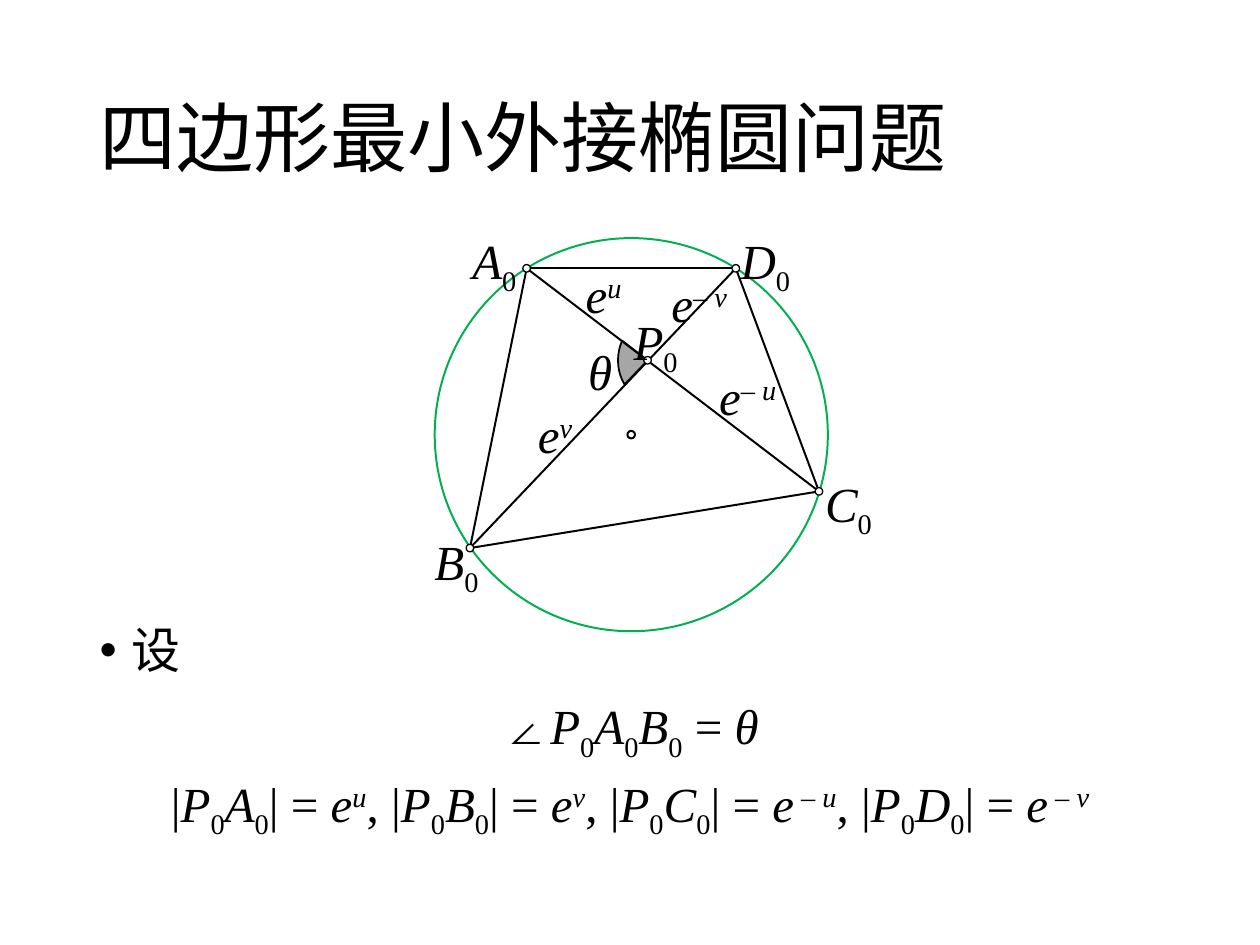
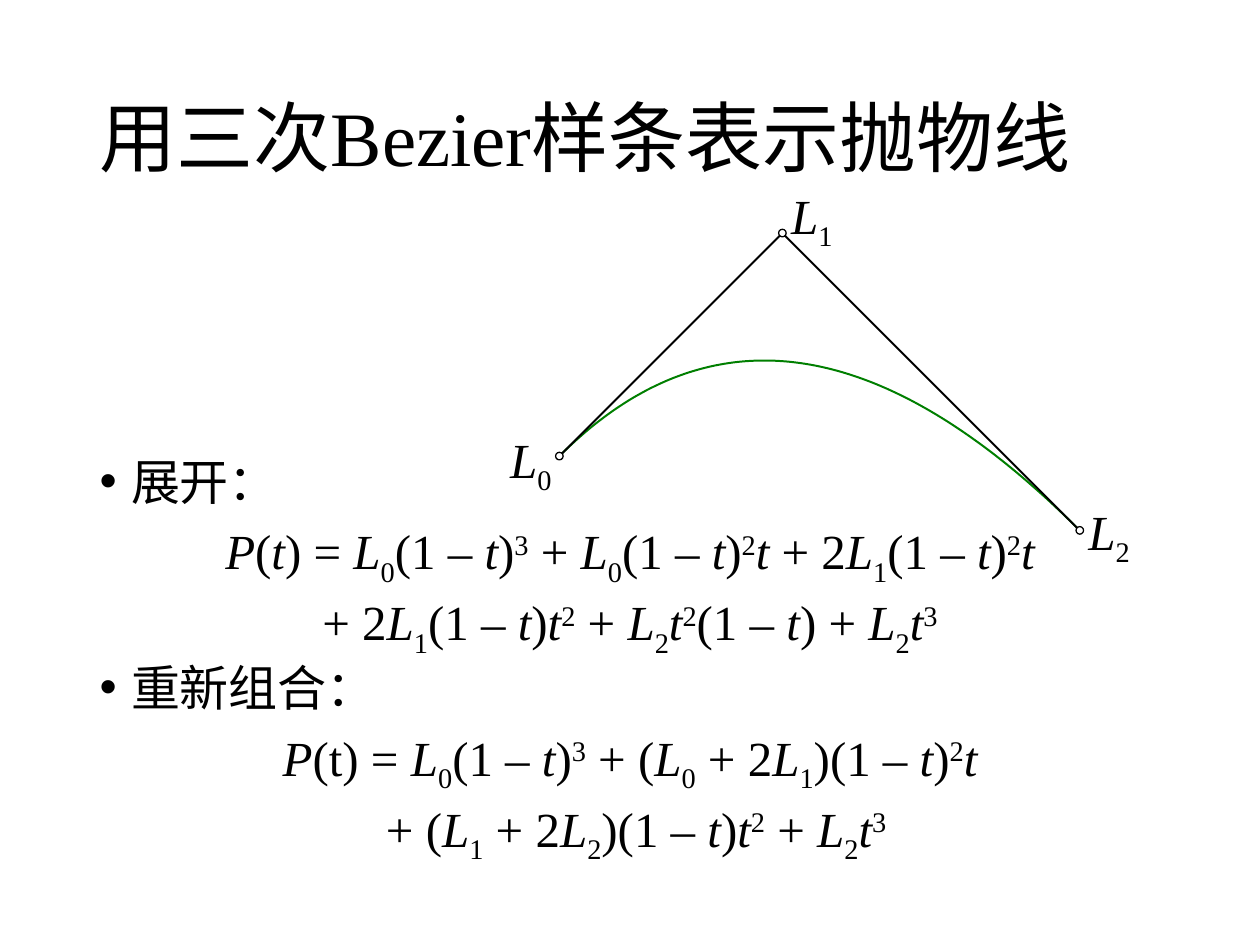
"""Two geometry slides: smallest enclosing ellipse and a parabola as a Bezier spline."""
from itertools import groupby, pairwise

from lxml import etree
from pptx import Presentation
from pptx.dml.color import RGBColor
from pptx.enum.shapes import MSO_CONNECTOR as CONN, MSO_SHAPE as SHAPE
from pptx.enum.text import MSO_ANCHOR as ANCHOR, MSO_AUTO_SIZE as AUTO, PP_ALIGN as ALIGN
from pptx.oxml.ns import qn
from pptx.util import Inches, Pt

COLORS = {"ink": "000000", "white": "FFFFFF", "grey": "A6A6A6",
          "circle": "00B050", "curve": "007F00"}
LATIN, CJK = "Times New Roman", "Noto Sans CJK SC"
SHIFTS = {"_": -25000, "^": 30000}
LEFT, WIDTH = 0.69, 8.62
TITLE_BOX = (LEFT, 0.4, WIDTH, 1.45)
LABEL_HEIGHT, DOT, RADIUS = 0.57, 0.06, 1.56
THIN, THICK = 0.75, 1.13
STEPS = 100

QUAD = {
    "title": "四边形最小外接椭圆问题",
    "top": 4.92, "height": 1.84, "spacing": 0.9,
    "body": [("bullet", "设"),
             ("formula", "∠P_0A_0B_0 = θ"),
             ("formula", "|P_0A_0| = e^u, |P_0B_0| = e^v, "
                         "|P_0C_0| = e^{ – u}, |P_0D_0| = e^{ – v}")],
    "points": {"A": (4.18, 2.13), "B": (3.73, 4.35), "C": (6.5, 3.9),
               "D": (5.84, 2.13), "P": (5.14, 2.86)},
    "center": (5.01, 3.45),
    "edges": ["AB", "BC", "CD", "DA", "AC", "DB"],
    "labels": [("θ", 4.57, 2.66, 0.39), ("e^u", 4.55, 2.05, 0.51),
               ("e^{– u}", 5.61, 2.86, 0.7), ("e^{– v}", 5.23, 2.12, 0.7),
               ("e^v", 4.17, 3.16, 0.49), ("A_0", 3.65, 1.78, 0.57),
               ("B_0", 3.35, 4.17, 0.57), ("C_0", 6.45, 3.71, 0.59),
               ("D_0", 5.78, 1.78, 0.62), ("P_0", 4.93, 2.42, 0.57)],
}
SPLINE = {
    "title": "用三次Bezier样条表示抛物线",
    "top": 3.62, "height": 3.14, "spacing": 0.8,
    "body": [("bullet", "展开："),
             ("formula", "P(t) = L_0(1 – t)^3 + L_0(1 – t)^2t + 2L_1(1 – t)^2t"),
             ("formula", "+ 2L_1(1 – t)t^2 + L_2t^2(1 – t) + L_2t^3"),
             ("bullet", "重新组合："),
             ("formula", "P(~t) = L_0(1 – t)^3 + (L_0 + 2L_1)(1 – t)^2t"),
             ("formula", " + (L_1 + 2L_2)(1 – t)t^2 + L_2t^3")],
    "points": [(4.44, 3.62), (6.21, 1.85), (8.57, 4.21)],
    "labels": [("L_0", 3.95, 3.36, 0.55), ("L_1", 6.18, 1.42, 0.57),
               ("L_2", 8.54, 3.93, 0.55)],
}


def rgb(name):
    return RGBColor.from_string(COLORS[name])


def inches(*values):
    return [Inches(v) for v in values]


def styled_chars(text):
    base, grouped, upright = 0, False, False
    for c in text:
        if c in SHIFTS:
            base = SHIFTS[c]
        elif c == "~":
            upright = True
        elif c == "{":
            grouped = True
        elif c == "}":
            base, grouped = 0, False
        else:
            italic = not upright and (c == "θ" or c.isascii() and c.isalpha())
            yield c, base, italic
            upright = False
            base = base if grouped else 0


def add_run(p, text, size, base=0, italic=False):
    r = p.add_run()
    r.text = text
    for name, value in {"size": Pt(size), "name": LATIN, "italic": italic}.items():
        setattr(r.font, name, value)
    r.font.color.rgb = rgb("ink")
    rpr = r._r.get_or_add_rPr()
    etree.SubElement(rpr, qn("a:ea")).set("typeface", CJK)
    if base:
        rpr.set("baseline", str(base))


def add_math(p, text):
    for (base, italic), chars in groupby(styled_chars(text), key=lambda c: c[1:]):
        add_run(p, "".join(c[0] for c in chars), 28, base, italic)


def place(sp, box):
    sp.left, sp.top, sp.width, sp.height = inches(*box)


def set_bullet(p, kind):
    ppr = p._p.get_or_add_pPr()
    indent = Inches(0.25) if kind == "bullet" else 0
    ppr.set("marL", str(indent))
    ppr.set("indent", str(-indent))
    if kind == "bullet":
        etree.SubElement(ppr, qn("a:buFont")).set("typeface", "Arial")
        etree.SubElement(ppr, qn("a:buChar")).set("char", "•")
    else:
        etree.SubElement(ppr, qn("a:buNone"))


def add_slide(prs, content):
    s = prs.slides.add_slide(prs.slide_layouts[1])
    title, body = s.shapes.title, s.placeholders[1]
    place(title, TITLE_BOX)
    place(body, (LEFT, content["top"], WIDTH, content["height"]))
    for sp in (title, body):
        sp.text_frame.auto_size = AUTO.NONE
    title.text_frame.vertical_anchor = ANCHOR.MIDDLE
    p = title.text_frame.paragraphs[0]
    p.alignment, p.line_spacing = ALIGN.LEFT, 0.9
    add_run(p, content["title"], 44)
    tf = body.text_frame
    for i, (kind, text) in enumerate(content["body"]):
        p = tf.add_paragraph() if i else tf.paragraphs[0]
        set_bullet(p, kind)
        formats = {"alignment": ALIGN.LEFT if kind == "bullet" else ALIGN.CENTER,
                   "line_spacing": content["spacing"],
                   "space_before": Pt(10 if i else 0)}
        for name, value in formats.items():
            setattr(p, name, value)
        add_math(p, text)
    return s


def outline(sp, color, weight, fill=None):
    sp.shadow.inherit = False
    if fill:
        sp.fill.solid()
        sp.fill.fore_color.rgb = rgb(fill)
    else:
        sp.fill.background()
    sp.line.color.rgb = rgb(color)
    sp.line.width = Pt(weight)


def add_segment(s, start, end):
    line = s.shapes.add_connector(CONN.STRAIGHT, *inches(*start, *end))
    line.line.color.rgb = rgb("ink")
    line.line.width = Pt(THICK)
    etree.SubElement(line._element.spPr, qn("a:effectLst"))


def add_centered(s, kind, center, width, height):
    x, y = center
    return s.shapes.add_shape(
        kind, *inches(x - width / 2, y - height / 2, width, height))


def add_dot(s, center, weight=THIN):
    outline(add_centered(s, SHAPE.OVAL, center, DOT, DOT), "ink", weight, "white")


def add_labels(s, labels):
    for text, x, y, width in labels:
        tf = s.shapes.add_textbox(*inches(x, y, width, LABEL_HEIGHT)).text_frame
        tf.word_wrap = False
        tf.auto_size = AUTO.SHAPE_TO_FIT_TEXT
        add_math(tf.paragraphs[0], text)


def draw_quad(s):
    points = QUAD["points"]
    angle = add_centered(s, SHAPE.PIE, points["P"], 0.47, 0.61)
    angle.adjustments[0], angle.adjustments[1] = 80.23, 130.63
    outline(angle, "ink", 1, "grey")
    circle = add_centered(s, SHAPE.OVAL, QUAD["center"], 2 * RADIUS, 2 * RADIUS)
    outline(circle, "circle", THICK)
    for start, end in QUAD["edges"]:
        add_segment(s, points[start], points[end])
    add_dot(s, QUAD["center"], THICK)
    for point in points.values():
        add_dot(s, point)


def bezier(t):
    return tuple(Inches(a * (1 - t) ** 2 + 2 * b * t * (1 - t) + c * t ** 2)
                 for a, b, c in zip(*SPLINE["points"]))


def draw_spline(s):
    curve = [bezier(i / STEPS) for i in range(STEPS + 1)]
    builder = s.shapes.build_freeform(*curve[0])
    builder.add_line_segments(curve[1:], close=False)
    outline(builder.convert_to_shape(), "curve", THICK)
    for start, end in pairwise(SPLINE["points"]):
        add_segment(s, start, end)
    for point in SPLINE["points"]:
        add_dot(s, point)


def main():
    prs = Presentation()
    prs.slide_width, prs.slide_height = inches(10, 7.5)
    for content, draw in ((QUAD, draw_quad), (SPLINE, draw_spline)):
        s = add_slide(prs, content)
        draw(s)
        add_labels(s, content["labels"])
    prs.save("out.pptx")


if __name__ == "__main__":
    main()
